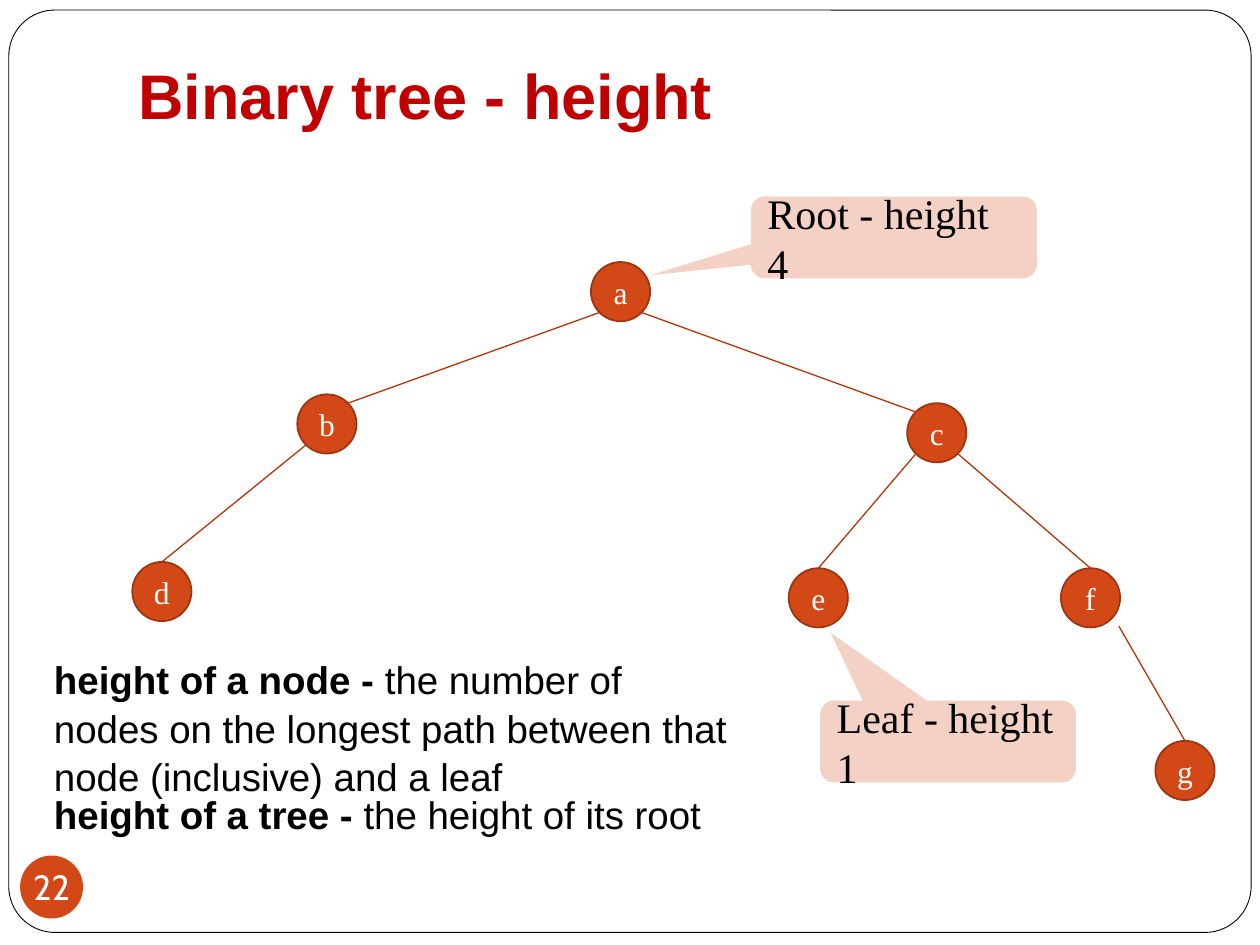
from lxml.etree import SubElement
from pptx import Presentation
from pptx.dml.color import RGBColor
from pptx.enum.shapes import MSO_CONNECTOR, MSO_SHAPE
from pptx.enum.text import MSO_ANCHOR, MSO_AUTO_SIZE, PP_ALIGN
from pptx.oxml.ns import qn
from pptx.util import Inches, Pt

WIDTH, HEIGHT = Inches(10), Inches(7.5)
COLUMN, ROW = WIDTH / 100, HEIGHT / 75
ORANGE, RIM, BRANCH = "D34817", "9C3511", "B1360B"
BLACK, WHITE, RED = "000000", "FFFFFF", "C00000"
SERIF, SANS = "Times New Roman", "Arial"
NODE_SIZE = 4.7

NODES = {
    "a": (46.9, 20.8), "b": (23.6, 31.3), "c": (72, 32), "d": (10.5, 44.6),
    "e": (62.6, 45.1), "f": (84.2, 45.1), "g": (91.7, 58.8),
}
TOP, TOP_LEFT, TOP_RIGHT = (0.5, 0), (0.15, 0.15), (0.85, 0.15)
LOW_LEFT, LOW_RIGHT, OUTER_CORNER = (0.15, 0.85), (0.85, 0.85), (0.98, 0.98)
BRANCHES = [
    ("a", LOW_LEFT, "b", TOP_RIGHT), ("a", LOW_RIGHT, "c", TOP_LEFT),
    ("b", LOW_LEFT, "d", TOP), ("c", LOW_LEFT, "e", TOP),
    ("c", LOW_RIGHT, "f", TOP), ("f", OUTER_CORNER, "g", TOP),
]
CALLOUTS = [
    ("Root - height 4", (59.6, 15.6, 22.7, 6.5), (-0.85, 0.46, 0.17)),
    ("Leaf - height 1", (65.1, 55.6, 20.3, 6.5), (-0.46, -1.33, 0.17)),
]
DEFINITIONS = [
    ((3.3, 51.4, 56.1, 12.1), [
        [("height of a node - ", True), ("the number of", False)],
        [("nodes on the longest path between that", False)],
        [("node (inclusive) and a leaf", False)],
    ]),
    ((3.3, 62.1, 54.1, 4.7), [
        [("height of a tree - ", True), ("the height of its root", False)],
    ]),
]


def color(value):
    return RGBColor.from_string(value)


def place(columns, rows):
    return round(columns * COLUMN), round(rows * ROW)


def apply(target, values):
    for name, value in values.items():
        setattr(target, name, value)


def write(shape, lines, font, size, ink, align=PP_ALIGN.LEFT, spacing=1, **frame_format):
    frame = shape.text_frame
    apply(frame, {"word_wrap": True, **frame_format})
    for index, pieces in enumerate(lines):
        line = frame.add_paragraph() if index else frame.paragraphs[0]
        apply(line, {"alignment": align, "line_spacing": spacing})
        for words, bold in pieces:
            run = line.add_run()
            run.text = words
            apply(run.font, {"name": font, "size": Pt(size), "bold": bold})
            run.font.color.rgb = color(ink)


def add_text(slide, box, *text, **options):
    words = slide.shapes.add_textbox(*place(*box[:2]), *place(*box[2:]))
    write(words, *text, **options)


def add_form(slide, kind, box, fill, rim=None, rim_width=1, adjustments=()):
    form = slide.shapes.add_shape(kind, *place(*box[:2]), *place(*box[2:]))
    form.shadow.inherit = False
    form.fill.solid()
    form.fill.fore_color.rgb = color(fill)
    if rim:
        form.line.color.rgb = color(rim)
        form.line.width = Pt(rim_width)
    else:
        form.line.fill.background()
    for index, value in enumerate(adjustments):
        form.adjustments[index] = value
    return form


def add_node(slide, letter):
    node = add_form(slide, MSO_SHAPE.OVAL, (*NODES[letter], NODE_SIZE, NODE_SIZE), ORANGE, RIM)
    write(node, [[(letter, False)]], SERIF, 18, WHITE, PP_ALIGN.CENTER,
          vertical_anchor=MSO_ANCHOR.MIDDLE)


def node_point(letter, share):
    return place(*(start + NODE_SIZE * part for start, part in zip(NODES[letter], share)))


def add_branch(slide, parent, leaving, child, arriving):
    branch = slide.shapes.add_connector(
        MSO_CONNECTOR.STRAIGHT, *node_point(parent, leaving), *node_point(child, arriving))
    branch.line.color.rgb = color(BRANCH)
    branch.line.width = Pt(0.75)
    SubElement(branch._element.spPr, qn("a:effectLst"))


def add_callout(slide, words, box, tail):
    callout = add_form(slide, MSO_SHAPE.ROUNDED_RECTANGULAR_CALLOUT, box, ORANGE,
                       adjustments=tail)
    tint = callout._element.spPr.find(qn("a:solidFill"))[0]
    SubElement(tint, qn("a:alpha"), val="25000")
    write(callout, [[(words, False)]], SERIF, 24, BLACK, vertical_anchor=MSO_ANCHOR.MIDDLE)


def add_page_number(slide, number):
    badge = add_form(slide, MSO_SHAPE.OVAL, (1.6, 67.9, 5, 5), ORANGE)
    margins = {f"margin_{side}": 0 for side in ("left", "right", "top", "bottom")}
    write(badge, [[(number, False)]], "Cabin", 20, WHITE, PP_ALIGN.CENTER,
          **{**margins, "word_wrap": False, "vertical_anchor": MSO_ANCHOR.MIDDLE})


def main():
    deck = Presentation()
    apply(deck, {"slide_width": WIDTH, "slide_height": HEIGHT})
    slide = deck.slides.add_slide(deck.slide_layouts[6])
    add_form(slide, MSO_SHAPE.ROUNDED_RECTANGLE, (0.7, 0.8, 98.6, 73.2), WHITE, BLACK, 0.5, (0.05,))
    add_text(slide, (10, 3, 85, 8.5), [[("Binary tree - height", True)]], SANS, 36, RED,
             vertical_anchor=MSO_ANCHOR.BOTTOM, margin_bottom=Inches(0.1))
    add_page_number(slide, "22")
    for letter in NODES:
        add_node(slide, letter)
    for branch in BRANCHES:
        add_branch(slide, *branch)
    for box, lines in DEFINITIONS:
        add_text(slide, box, lines, SANS, 22, BLACK, spacing=1.05,
                 word_wrap=False, auto_size=MSO_AUTO_SIZE.SHAPE_TO_FIT_TEXT)
    for callout in CALLOUTS:
        add_callout(slide, *callout)
    deck.save("out.pptx")


main()
